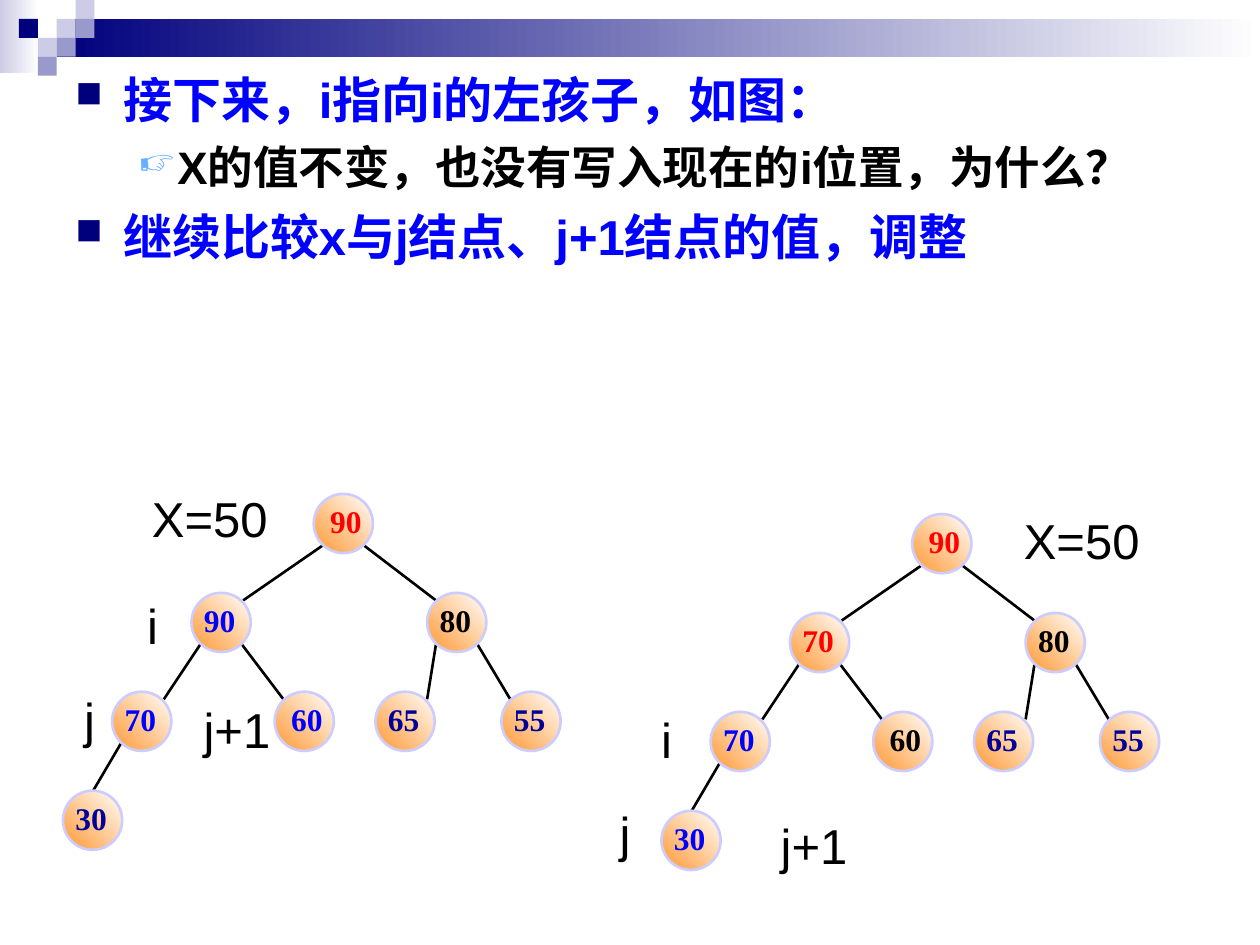
from lxml import etree
from pptx import Presentation
from pptx.dml.color import RGBColor
from pptx.enum import shapes, text
from pptx.oxml import ns
from pptx.util import Inches, Pt

NAVY, LILAC, MAUVE, BLUE, INK = "00007D", "CCCCE6", "9999CC", "0000FF", "000099"
BLACK, RED = "000000", "FF0000"
SIZE = 0.47
LEVEL = 0.785
NODE_LEFTS = [1.99, 1.02, 2.89, 0.39, 1.68, 2.48, 3.48, 0]
NODE_LEVELS = [0, 1, 1, 2, 2, 2, 2, 3]


def rgb(value):
    """Turn a hex string into a colour."""
    return RGBColor.from_string(value)


def add_element(parent, tag, **attrs):
    """Append a DrawingML element to a parent."""
    return etree.SubElement(parent, ns.qn(tag), attrs)


def paint(sp, start, end=None, angle=0):
    """Fill a shape with one colour or a two-colour gradient."""
    if end is None:
        sp.fill.solid()
        sp.fill.fore_color.rgb = rgb(start)
        return
    sp.fill.gradient()
    sp.fill.gradient_angle = angle
    for stop, color in zip(sp.fill.gradient_stops, (start, end)):
        stop.color.rgb = rgb(color)


def style_font(p, size, color, name="Arial", bold=False):
    """Format every run of a paragraph."""
    for r in p.runs:
        r.font.size, r.font.name, r.font.bold = Pt(size), name, bold
        r.font.color.rgb = rgb(color)


def add_block(s, box, *colors):
    """Draw a borderless rectangle."""
    sp = s.shapes.add_shape(shapes.MSO_SHAPE.RECTANGLE, *map(Inches, box))
    sp.shadow.inherit = False
    sp.line.fill.background()
    paint(sp, *colors)


def add_banner(s, left, top, width):
    """Draw the gradient bar with its stepped squares."""
    add_block(s, (left, top, 0.31, 0.58), LILAC, "FFFFFF")
    add_block(s, (left + 0.45, top + 0.15, width - 0.45, 0.3), NAVY, "FFFFFF")
    squares = [(3, 1, LILAC), (4, 0, LILAC), (4, 1, MAUVE), (2, 2, LILAC),
               (1, 1, NAVY), (3, 2, MAUVE), (2, 3, MAUVE)]
    for col, row, color in squares:
        box = (left + col * 0.15, top + row * 0.15, 0.15, 0.15)
        add_block(s, box, color)


def add_bullet(p, char, color, scale, margin, hanging):
    """Give a paragraph a coloured bullet and a hanging indent."""
    pPr = p._p.get_or_add_pPr()
    pPr.set("marL", str(Inches(margin)))
    pPr.set("indent", str(-Inches(hanging)))
    add_element(add_element(pPr, "a:buClr"), "a:srgbClr", val=color)
    add_element(pPr, "a:buSzPct", val=str(scale * 1000))
    add_element(pPr, "a:buChar", char=char)


def add_outline(s, box, items):
    """Write the bulleted text as (level, text) items."""
    levels = [(28, BLUE, 7, ("■", NAVY, 75, 0.38, 0.38)),
              (26, BLACK, 6.5, ("☞", "67AFFF", 80, 0.81, 0.31))]
    tf = s.shapes.add_textbox(*map(Inches, box)).text_frame
    tf.word_wrap = True
    for i, (level, line) in enumerate(items):
        size, color, before, bullet = levels[level]
        p = tf.add_paragraph() if i else tf.paragraphs[0]
        p.text, p.level = line, level
        if i:
            p.space_before = Pt(before)
        add_bullet(p, *bullet)
        style_font(p, size, color, bold=True)


def add_edge(s, start, end):
    """Draw a black line between two points."""
    line = s.shapes.add_connector(shapes.MSO_CONNECTOR.STRAIGHT,
                                  *map(Inches, (*start, *end)))
    line.line.color.rgb = rgb(BLACK)
    line.line.width = Pt(1.5)
    add_element(line._element.spPr, "a:effectLst")


def add_node(s, left, top, label, color):
    """Draw one numbered tree node."""
    sp = s.shapes.add_shape(shapes.MSO_SHAPE.OVAL,
                            *map(Inches, (left, top, SIZE, SIZE)))
    sp.shadow.inherit = False
    paint(sp, "FF9933", "FFFFFF", 45)
    sp.line.color.rgb = rgb("CCCCFF")
    sp.line.width = Pt(1.5)
    tf = sp.text_frame
    tf.word_wrap = False
    tf.vertical_anchor = text.MSO_ANCHOR.MIDDLE
    tf.margin_left, tf.margin_top = Inches(0.14), Inches(0.01)
    tf.margin_right, tf.margin_bottom = Inches(0.1), Inches(0.05)
    tf.text = label
    p = tf.paragraphs[0]
    p.alignment = text.PP_ALIGN.CENTER
    style_font(p, 18, color, "Times New Roman", True)


def add_tree(s, left, top, nodes):
    """Draw a binary heap in level order from (label, colour) nodes."""
    spots = [(left + x, top + level * LEVEL)
             for x, level in zip(NODE_LEFTS, NODE_LEVELS)]
    for child in range(1, len(spots)):
        px, py = spots[(child - 1) // 2]
        cx, cy = spots[child]
        is_left = child % 2 == 1
        start = (px + (0.07 if is_left else 0.4), py + 0.41)
        if NODE_LEVELS[child] == 3:
            end = (cx + 0.24, cy)
        else:
            end = (cx + (0.41 if is_left else 0.07), cy + 0.06)
        add_edge(s, start, end)
    for spot, node in zip(spots, nodes):
        add_node(s, *spot, *node)


def add_label(s, left, top, width, label):
    """Write a centred pointer label."""
    tf = s.shapes.add_textbox(*map(Inches, (left, top, width, 0.57))).text_frame
    tf.word_wrap = True
    tf.text = label
    p = tf.paragraphs[0]
    p.alignment = text.PP_ALIGN.CENTER
    style_font(p, 28, BLACK)


def main():
    """Build the heap adjustment slide."""
    prs = Presentation()
    prs.slide_width, prs.slide_height = Inches(10), Inches(7.5)
    s = prs.slides.add_slide(prs.slide_layouts[6])
    add_banner(s, 0, 0, 10)
    add_outline(s, (0.5, 0.5, 9, 7), [
        (0, "接下来，i指向i的左孩子，如图："),
        (1, "X的值不变，也没有写入现在的i位置，为什么？"),
        (0, "继续比较x与j结点、j+1结点的值，调整")])
    add_tree(s, 0.5, 3.92, [
        ("90", RED), ("90 ", BLUE), ("80 ", BLACK), ("70 ", BLUE),
        ("60", BLUE), ("65 ", INK), ("55 ", INK), ("30 ", INK)])
    add_tree(s, 5.25, 4.08, [
        ("90", RED), ("70 ", RED), ("80 ", BLACK), ("70 ", BLUE),
        ("60", BLACK), ("65 ", INK), ("55 ", INK), ("30 ", BLUE)])
    labels = [("X=50", 1.33, (1, 3.83), (7.92, 4)),
              ("i", 0.42, (1, 4.68), (5.08, 5.58)),
              ("j", 0.42, (0.5, 5.42), (4.75, 6.33)),
              ("j+1", 0.92, (1.42, 5.5), (6, 6.42))]
    for label, width, *spots in labels:
        for left, top in spots:
            add_label(s, left, top, width, label)
    prs.save("out.pptx")


if __name__ == "__main__":
    main()
